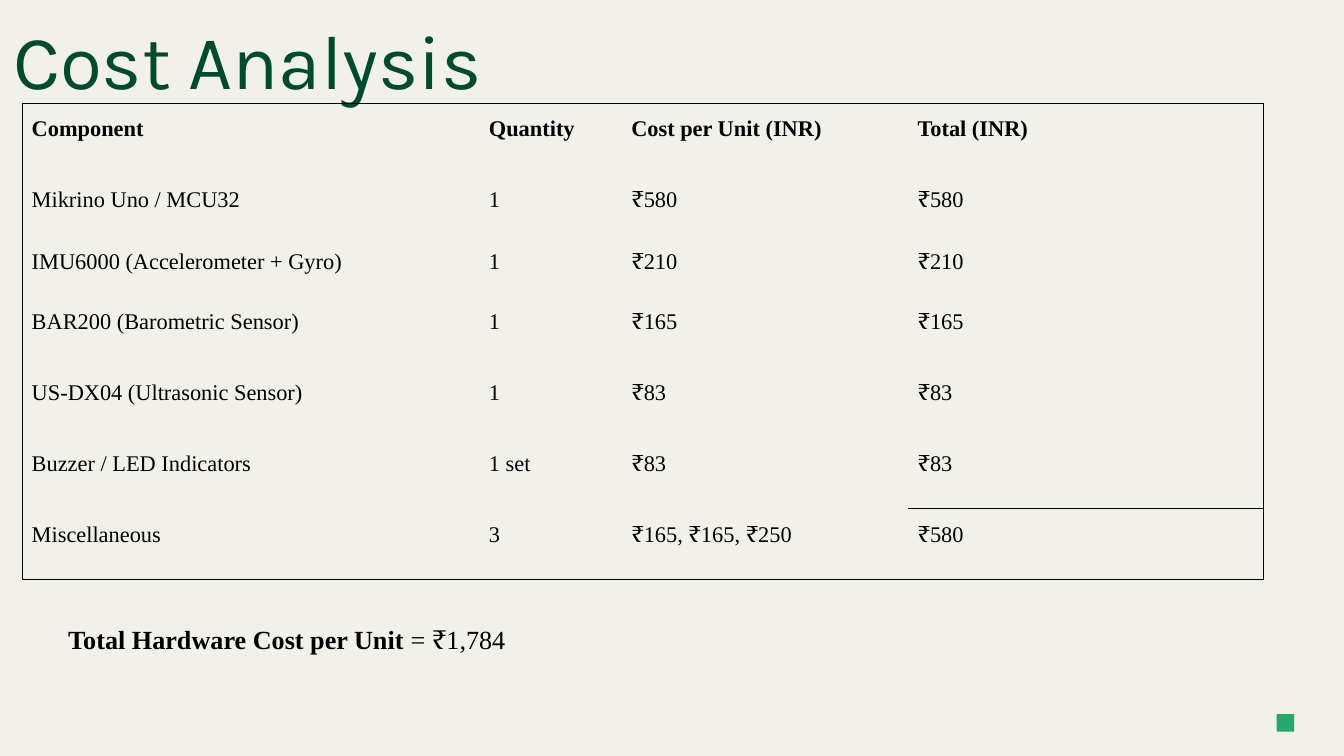
from dataclasses import dataclass

from lxml import etree
from pptx import Presentation
from pptx.dml.color import RGBColor
from pptx.enum.shapes import MSO_SHAPE
from pptx.enum.text import MSO_ANCHOR
from pptx.oxml.ns import qn
from pptx.util import Cm, Pt

RECT = MSO_SHAPE.RECTANGLE
TOP = MSO_ANCHOR.TOP


@dataclass(frozen=True)
class Theme:
    background: str = "F1F1E9"
    title: str = "004A2E"
    accent: str = "26A96C"
    ink: str = "000000"
    title_font: str = "Karla"
    body_font: str = "Times New Roman"
    title_size: float = 41
    body_size: float = 12
    total_size: float = 14
    border: float = 0.75


THEME = Theme()
COLUMNS = [8.64, 2.69, 5.41, 3.36, 3.36]
ROW_HEIGHTS = [1.34, 1.18, 1.13, 1.34, 1.34, 1.34, 1.34]
COSTS = [
    ["Component", "Quantity", "Cost per Unit (INR)", "Total (INR)", ""],
    ["Mikrino Uno / MCU32", "1", "₹580", "₹580", ""],
    ["IMU6000 (Accelerometer + Gyro)", "1", "₹210", "₹210", ""],
    ["BAR200 (Barometric Sensor)", "1", "₹165", "₹165", ""],
    ["US-DX04 (Ultrasonic Sensor)", "1", "₹83", "₹83", ""],
    ["Buzzer / LED Indicators", "1 set", "₹83", "₹83", ""],
    ["Miscellaneous", "3", "₹165, ₹165, ₹250", "₹580", ""],
]
LAST_ROW = len(COSTS) - 1
LAST_COLUMN = len(COLUMNS) - 1
SUBTOTAL_COLUMN = 3


def style_run(r, font, size, color, bold=False):
    r.font.name = font
    r.font.size = Pt(size)
    r.font.bold = bold
    r.font.color.rgb = RGBColor.from_string(color)


def add_text_box(s, box, inset):
    tf = s.shapes.add_textbox(*map(Cm, box)).text_frame
    tf.word_wrap = True
    tf.vertical_anchor = TOP
    tf.margin_left = tf.margin_right = Cm(0.25)
    tf.margin_top = tf.margin_bottom = Cm(inset)
    return tf


def set_borders(cell, edges):
    tc_pr = cell._tc.get_or_add_tcPr()
    for edge, visible in edges.items():
        ln = etree.SubElement(tc_pr, qn(f"a:ln{edge}"), w=str(Pt(THEME.border)))
        if visible:
            fill = etree.SubElement(ln, qn("a:solidFill"))
            etree.SubElement(fill, qn("a:srgbClr"), val=THEME.ink)
        else:
            etree.SubElement(ln, qn("a:noFill"))


def fill_cell(cell, text, row, column):
    in_subtotal = column >= SUBTOTAL_COLUMN
    set_borders(cell, {
        "L": column == 0,
        "R": column == LAST_COLUMN,
        "T": row == 0 or (row == LAST_ROW and in_subtotal),
        "B": row == LAST_ROW or (row == LAST_ROW - 1 and in_subtotal),
    })
    cell.fill.background()
    cell.margin_left = cell.margin_right = Cm(0.18)
    cell.margin_top = cell.margin_bottom = Cm(0.18)
    cell.vertical_anchor = TOP
    p = cell.text_frame.paragraphs[0]
    p.text = text
    p.line_spacing = 1.15
    p.space_after = Pt(12)
    p.font.size = Pt(THEME.body_size)
    for r in p.runs:
        style_run(r, THEME.body_font, THEME.body_size, THEME.ink, row == 0)


def add_title(s, box):
    tf = add_text_box(s, box, 0.25)
    tf.text = "Cost Analysis"
    style_run(tf.paragraphs[0].runs[0], THEME.title_font, THEME.title_size, THEME.title)


def add_cost_table(s, left, top):
    box = left, top, sum(COLUMNS), sum(ROW_HEIGHTS)
    table = s.shapes.add_table(len(COSTS), len(COLUMNS), *map(Cm, box)).table
    table.first_row = table.horz_banding = False
    for column, width in zip(table.columns, COLUMNS):
        column.width = Cm(width)
    for row, height in zip(table.rows, ROW_HEIGHTS):
        row.height = Cm(height)
    for i, values in enumerate(COSTS):
        for j, text in enumerate(values):
            fill_cell(table.cell(i, j), text, i, j)


def add_total(s, box):
    p = add_text_box(s, box, 0.13).paragraphs[0]
    p.space_after = Pt(12)
    for text, bold in (("Total Hardware Cost per Unit", True), (" = ₹1,784", False)):
        r = p.add_run()
        r.text = text
        style_run(r, THEME.body_font, THEME.total_size, THEME.ink, bold)


def add_corner_mark(s, box):
    sp = s.shapes.add_shape(RECT, *map(Cm, box))
    sp.shadow.inherit = False
    sp.fill.solid()
    sp.fill.fore_color.rgb = RGBColor.from_string(THEME.accent)
    sp.line.fill.background()


def main():
    prs = Presentation()
    prs.slide_width, prs.slide_height = Cm(25.4), Cm(14.29)
    s = prs.slides.add_slide(prs.slide_layouts[6])
    s.background.fill.solid()
    s.background.fill.fore_color.rgb = RGBColor.from_string(THEME.background)
    add_corner_mark(s, (24.13, 13.5, 0.33, 0.33))
    add_title(s, (0, 0, 23.27, 1.6))
    add_cost_table(s, 0.42, 1.95)
    add_total(s, (1.04, 11.66, 13, 2.49))
    prs.save("out.pptx")


if __name__ == "__main__":
    main()
